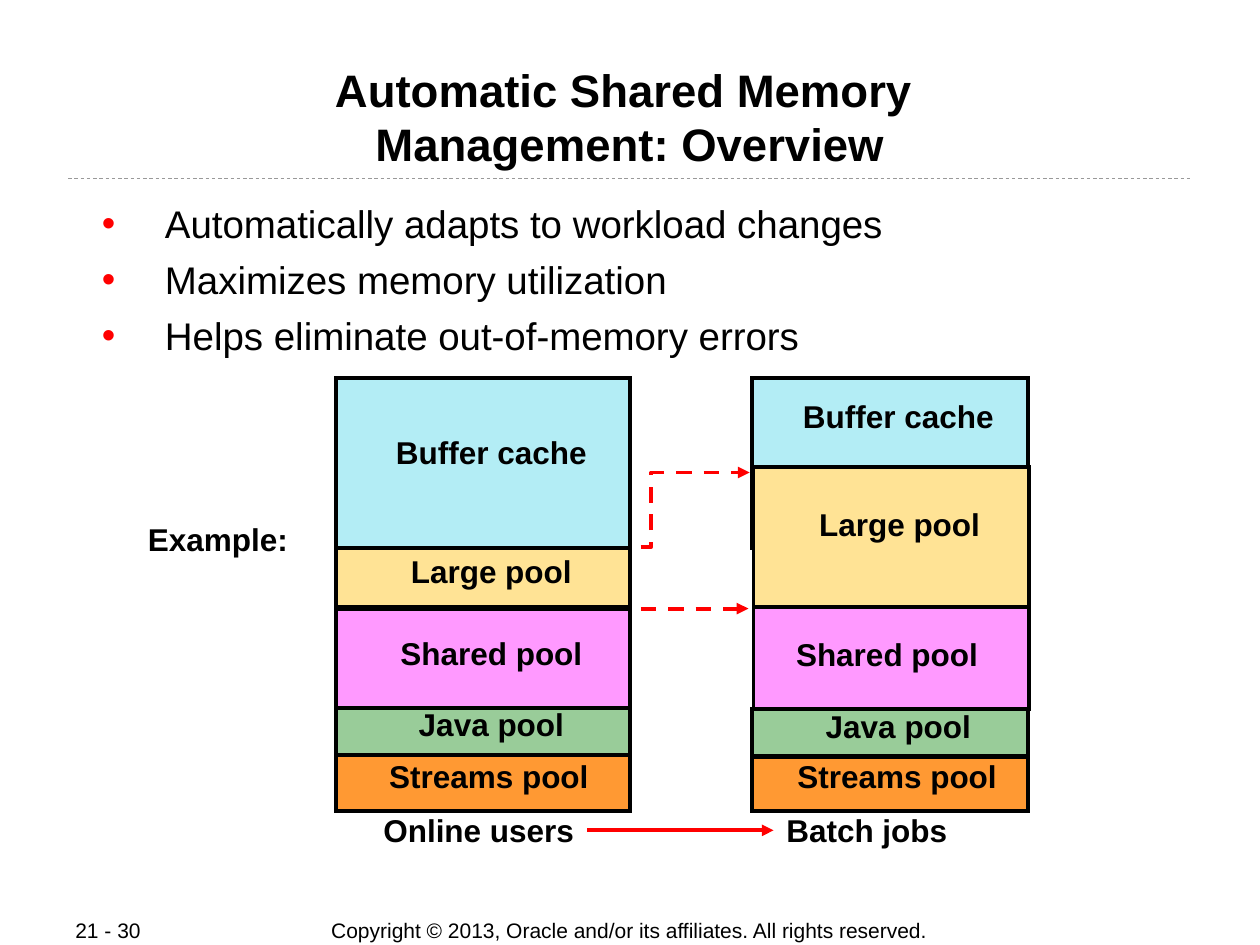
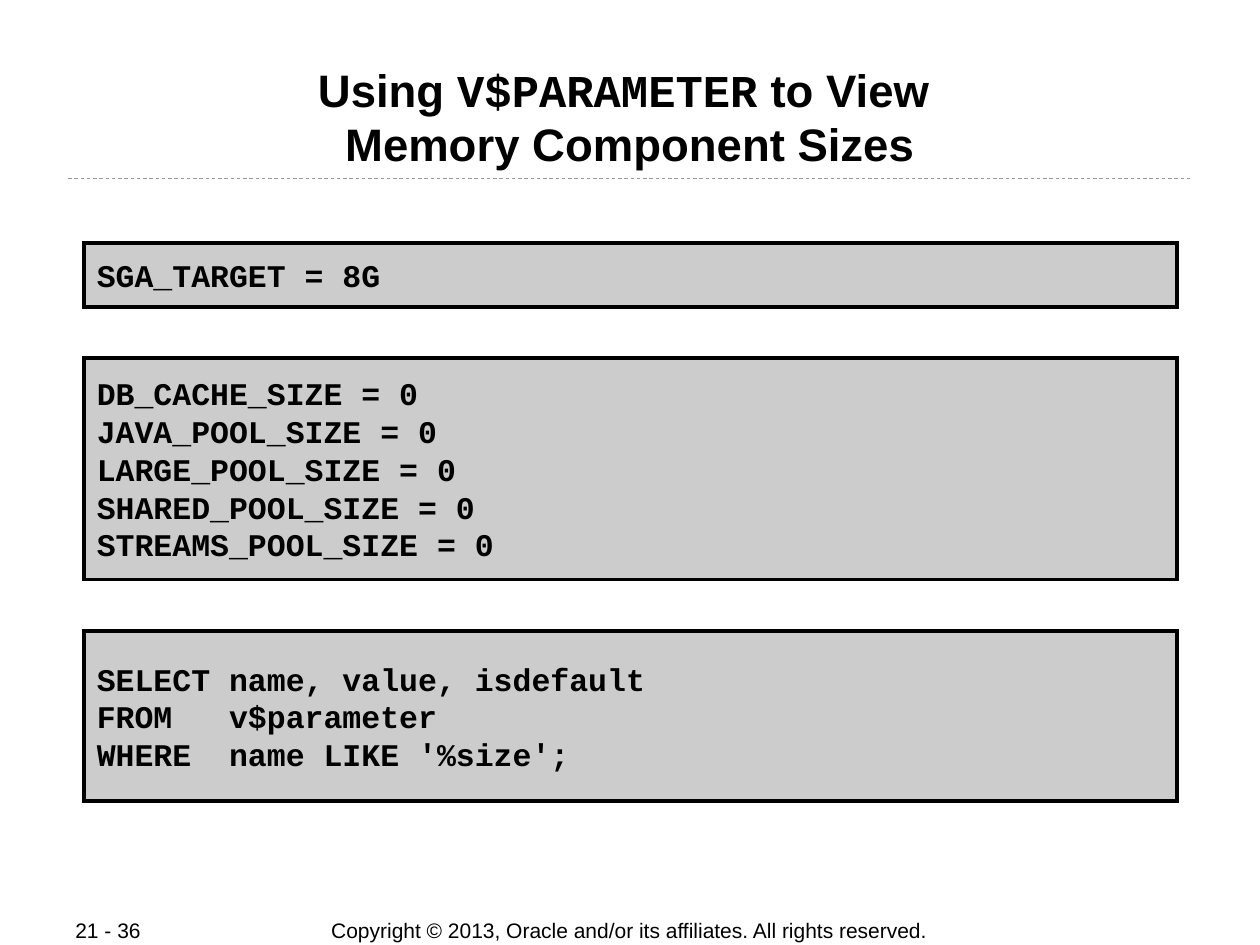
"""Build two slides on automatic shared memory management."""
from dataclasses import dataclass

from lxml import etree
from pptx import Presentation
from pptx.dml.color import RGBColor
from pptx.enum.dml import MSO_LINE
from pptx.enum.shapes import MSO_CONNECTOR, MSO_SHAPE
from pptx.enum.text import MSO_ANCHOR as Anchor, PP_ALIGN as Align
from pptx.oxml.ns import qn
from pptx.util import Pt

PX = 9144


@dataclass(frozen=True)
class TextStyle:
    size: float
    font: str = "Arial"
    bold: bool = False
    align: Align = Align.LEFT
    anchor: Anchor = Anchor.TOP
    inset_x: int = 10
    inset_y: int = 5
    gap: float = 0


class Theme:
    black = RGBColor.from_string("000000")
    red = RGBColor.from_string("FF0000")
    rule = RGBColor.from_string("999999")
    code_fill = "CCCCCC"
    pool_fills = {
        "Buffer cache": "B3EDF5",
        "Large pool": "FFE395",
        "Shared pool": "FF99FF",
        "Java pool": "99CC99",
        "Streams pool": "FF9933",
    }
    sans = "Arial"
    mono = "Courier New"
    outline = Pt(2.25)
    hairline = Pt(0.5)
    title = TextStyle(26, bold=True, align=Align.CENTER, inset_x=1, inset_y=1)
    body = TextStyle(22, inset_x=1, inset_y=1, gap=5.5)
    label = TextStyle(18, bold=True, align=Align.CENTER)
    code = TextStyle(18, mono, True, anchor=Anchor.MIDDLE, inset_y=1)
    page = TextStyle(12, anchor=Anchor.MIDDLE)
    copyright = TextStyle(12, align=Align.CENTER, anchor=Anchor.MIDDLE)


def add_text(slide, box, text, style, fill=None):
    """Add a text box, or an outlined rectangle when a fill is given."""
    bounds = [PX * value for value in box]
    if fill:
        shape = slide.shapes.add_shape(MSO_SHAPE.RECTANGLE, *bounds)
        shape.shadow.inherit = False
        shape.fill.solid()
        shape.fill.fore_color.rgb = RGBColor.from_string(fill)
        shape.line.color.rgb = Theme.black
        shape.line.width = Theme.outline
        etree.SubElement(shape._element.spPr.find(qn("a:ln")), qn("a:miter"), lim="800000")
    else:
        shape = slide.shapes.add_textbox(*bounds)
    frame = shape.text_frame
    frame.text = text
    frame.word_wrap = True
    frame.vertical_anchor = style.anchor
    frame.margin_left = frame.margin_right = PX * style.inset_x
    frame.margin_top = frame.margin_bottom = PX * style.inset_y
    for index, paragraph in enumerate(frame.paragraphs):
        paragraph.alignment = style.align
        if index and style.gap:
            paragraph.space_before = Pt(style.gap)
        for run in paragraph.runs:
            run.font.size = Pt(style.size)
            run.font.name = style.font
            run.font.bold = style.bold
            run.font.color.rgb = Theme.black
    return shape


def style_line(shape, color, width, dashed=False, arrow=False):
    """Set the stroke of a connector or open outline and drop its shadow."""
    shape.line.color.rgb = color
    shape.line.width = width
    if dashed:
        shape.line.dash_style = MSO_LINE.DASH
    properties = shape._element.spPr
    if arrow:
        etree.SubElement(properties.find(qn("a:ln")), qn("a:tailEnd"), type="triangle")
    etree.SubElement(properties, qn("a:effectLst"))


presentation = Presentation()
presentation.slide_width = 1000 * PX
presentation.slide_height = 750 * PX

pages = [
    ("21 - 30", [
        [("Automatic Shared Memory ", Theme.sans)],
        [("Management: Overview", Theme.sans)],
    ]),
    ("21 - 36", [
        [("Using ", Theme.sans), ("V$PARAMETER", Theme.mono), (" to View ", Theme.sans)],
        [("Memory Component Sizes", Theme.sans)],
    ]),
]
notice = "Copyright © 2013, Oracle and/or its affiliates. All rights reserved."
slides = []
for page_number, title_lines in pages:
    slide = presentation.slides.add_slide(presentation.slide_layouts[6])
    slides.append(slide)
    add_text(slide, (225, 728, 549, 21), notice, Theme.copyright)
    add_text(slide, (50, 728, 106, 20), page_number, Theme.page)
    rule = slide.shapes.add_connector(MSO_CONNECTOR.STRAIGHT, 54 * PX, 142 * PX, 946 * PX, 142 * PX)
    style_line(rule, Theme.rule, Theme.hairline, dashed=True)
    title_box = add_text(slide, (67, 48, 866, 96), "", Theme.title)
    paragraph = title_box.text_frame.paragraphs[0]
    for index, line in enumerate(title_lines):
        if index:
            paragraph.add_line_break()
        for text, font in line:
            run = paragraph.add_run()
            run.text = text
            run.font.size = Pt(Theme.title.size)
            run.font.name = font
            run.font.bold = Theme.title.bold
            run.font.color.rgb = Theme.black

overview, parameters = slides

benefits = [
    "Automatically adapts to workload changes",
    "Maximizes memory utilization",
    "Helps eliminate out-of-memory errors",
]
body = add_text(overview, (67, 158, 866, 128), "\n".join(benefits), Theme.body)
for paragraph in body.text_frame.paragraphs:
    properties = paragraph._p.get_or_add_pPr()
    properties.set("marL", str(63 * PX))
    properties.set("indent", str(-50 * PX))
    bullet_color = etree.SubElement(properties, qn("a:buClr"))
    etree.SubElement(bullet_color, qn("a:srgbClr"), val=str(Theme.red))
    etree.SubElement(properties, qn("a:buFont"), typeface=Theme.sans)
    etree.SubElement(properties, qn("a:buChar"), char="•")

for left, top, right, dashed in ((465, 483, 594, True), (466, 659, 614, False)):
    arrow = overview.shapes.add_connector(
        MSO_CONNECTOR.STRAIGHT, left * PX, top * PX, right * PX, top * PX)
    style_line(arrow, Theme.red, Theme.outline, dashed, arrow=True)

builder = overview.shapes.build_freeform(465, 434, scale=PX)
builder.add_line_segments([(517, 434), (517, 375), (595, 375)], close=False)
growth_arrow = builder.convert_to_shape()
growth_arrow.fill.background()
style_line(growth_arrow, Theme.red, Theme.outline, dashed=True, arrow=True)

online_pools = [
    (267, 300, 135, 390, 339),
    (267, 435, 47, 390, 433),
    (267, 483, 81, 390, 498),
    (267, 562, 37, 390, 555),
    (267, 599, 45, 388, 596),
]
batch_pools = [
    (597, 300, 135, 713, 310),
    (598, 371, 111, 714, 396),
    (598, 482, 81, 704, 499),
    (597, 563, 37, 713, 556),
    (597, 601, 43, 712, 596),
]
label_width, label_height = 200, 40
for width, pools in ((233, online_pools), (219, batch_pools)):
    for (name, fill), (left, top, height, center, label_top) in zip(Theme.pool_fills.items(), pools):
        add_text(overview, (left, top, width, height), "", Theme.label, fill)
        label_box = (center - label_width // 2, label_top, label_width, label_height)
        add_text(overview, label_box, name, Theme.label)

for caption, center, top in (("Online users", 380, 639), ("Batch jobs", 688, 639), ("Example:", 173, 408)):
    caption_box = (center - label_width // 2, top, label_width, label_height)
    add_text(overview, caption_box, caption, Theme.label)

code_blocks = [
    (193, 51, ["SGA_TARGET = 8G"]),
    (284, 176, [
        "DB_CACHE_SIZE = 0",
        "JAVA_POOL_SIZE = 0",
        "LARGE_POOL_SIZE = 0",
        "SHARED_POOL_SIZE = 0",
        "STREAMS_POOL_SIZE = 0",
    ]),
    (501, 135, [
        "SELECT name, value, isdefault",
        "FROM   v$parameter",
        "WHERE  name LIKE '%size';",
    ]),
]
for top, height, lines in code_blocks:
    add_text(parameters, (67, top, 867, height), "\n".join(lines), Theme.code, Theme.code_fill)

presentation.save("out.pptx")
